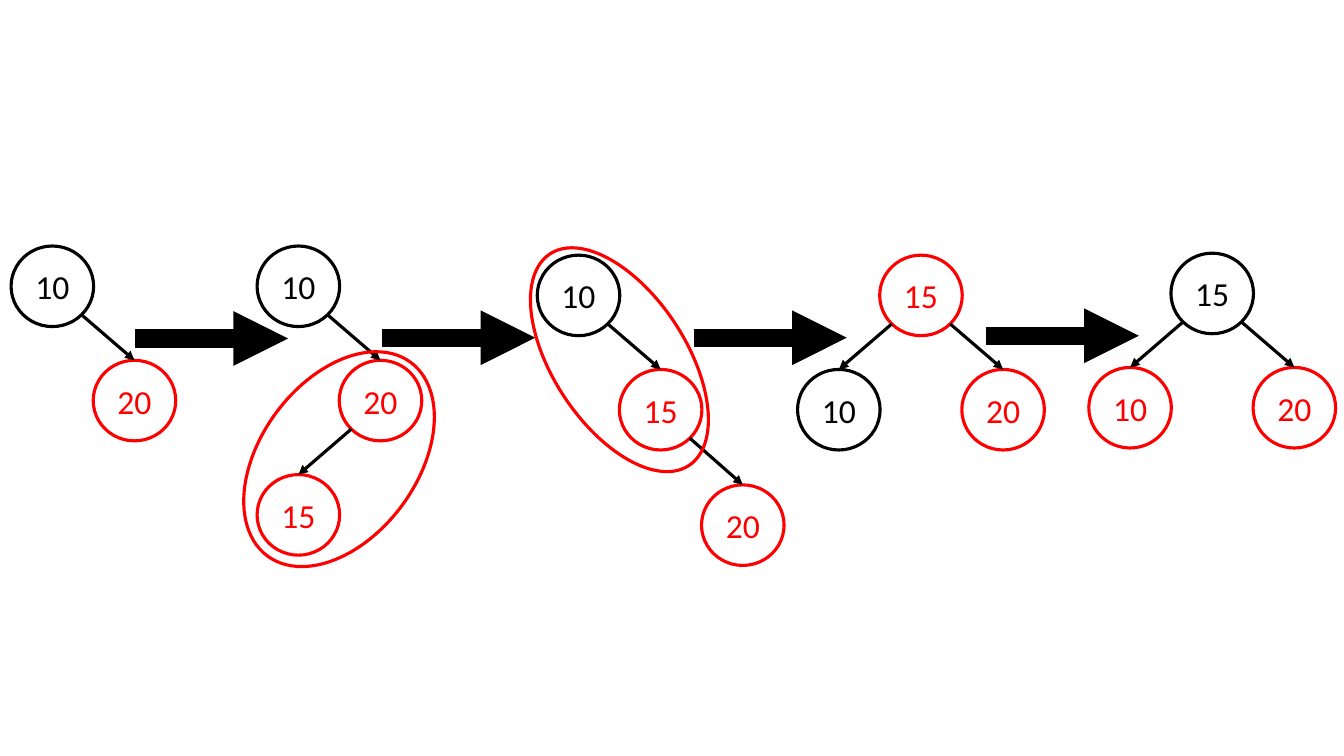
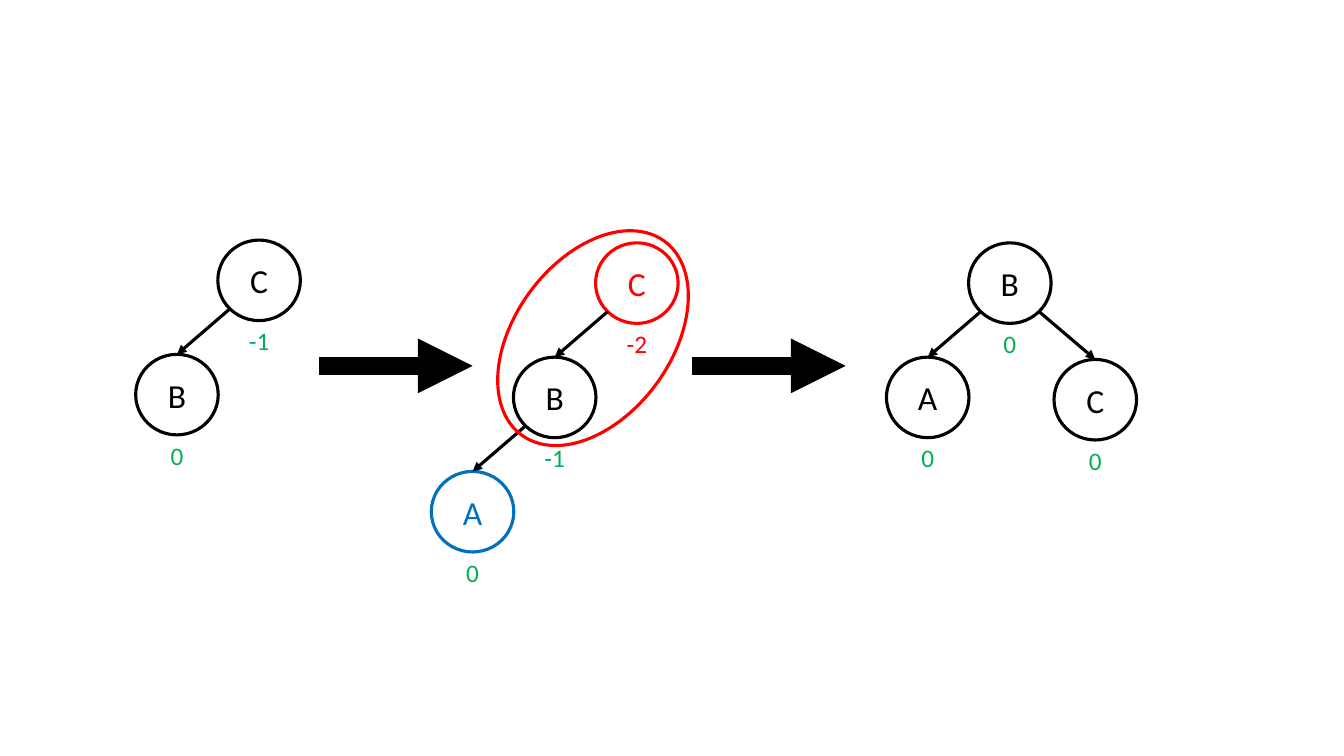
"""Build two slides that show rotations in balanced binary search trees."""
import math

import lxml.etree
import pptx
import pptx.dml.color
import pptx.enum.shapes
import pptx.enum.text
import pptx.oxml.ns
import pptx.util

Cm, Pt = pptx.util.Cm, pptx.util.Pt
RGB = pptx.dml.color.RGBColor.from_string
SHAPE = pptx.enum.shapes.MSO_SHAPE
qn = pptx.oxml.ns.qn


class Theme:
    font = "Calibri"
    black, red = RGB("000000"), RGB("FF0000")
    green, blue = RGB("00B050"), RGB("0070C0")
    node_size, balance_size = Pt(24), Pt(18)
    outline, block_arrow = Pt(2.25), Pt(13)


NODE_W, NODE_H = 2.08, 2.03
COL, ROW = 2.07, 2.88
LABEL_W, LABEL_H = 1.04, 1.02
ARROW_LENGTH = 3.86
BLACK, RED, BLUE = Theme.black, Theme.red, Theme.blue

SLIDES = [
    {
        "trees": [
            (0.28, 6.2, [("10", 0, 0, BLACK, None, None),
                         ("20", 1, 1, RED, 0, None)]),
            (6.48, 6.2, [("10", 0, 0, BLACK, None, None),
                         ("20", 1, 1, RED, 0, None),
                         ("15", 0, 2, RED, 1, None)]),
            (13.54, 6.43, [("10", 0, 0, BLACK, None, None),
                           ("15", 1, 1, RED, 0, None),
                           ("20", 2, 2.01, RED, 1, None)]),
            (22.17, 6.43, [("15", 0, 0, RED, None, None),
                           ("20", 1, 1, RED, 0, None),
                           ("10", -1, 1, BLACK, 0, None)]),
            (29.51, 6.38, [("15", 0, 0, BLACK, None, None),
                           ("20", 1, 1, RED, 0, None),
                           ("10", -1, 1, RED, 0, None)]),
        ],
        "arrows": [(3.4, 8.53), (9.63, 8.51), (17.48, 8.51), (24.84, 8.46)],
        "rings": [(5.51, 9.6, 6.07, 3.94, 306.5),
                  (12.42, 7.39, 6.38, 3.35, 56.7)],
    },
    {
        "trees": [
            (5.49, 6.05, [("C", 0, 0, BLACK, None, -1),
                          ("B", -1, 1, BLACK, 0, 0)]),
            (15.01, 6.12, [("C", 0, 0, RED, None, -2),
                           ("B", -1, 1, BLACK, 0, -1),
                           ("A", -2, 2, BLUE, 1, 0)]),
            (24.41, 6.12, [("B", 0, 0, BLACK, None, 0),
                           ("A", -1, 1, BLACK, 0, 0),
                           ("C", 1.04, 1.02, BLACK, 0, 0)]),
        ],
        "arrows": [(8.05, 9.22), (17.45, 9.22)],
        "rings": [(11.91, 6.55, 6.07, 3.94, 306.5)],
    },
]


def add_ellipse(s, x, y, w, h, color):
    sp = s.shapes.add_shape(SHAPE.OVAL, Cm(x), Cm(y), Cm(w), Cm(h))
    sp.shadow.inherit = False
    sp.fill.background()
    sp.line.color.rgb = color
    sp.line.width = Theme.outline
    return sp


def add_arrow(s, x1, y1, x2, y2, width):
    c = s.shapes.add_connector(pptx.enum.shapes.MSO_CONNECTOR.STRAIGHT,
                               Cm(x1), Cm(y1), Cm(x2), Cm(y2))
    c.line.color.rgb = Theme.black
    c.line.width = width
    ln = c.element.spPr.find(qn("a:ln"))
    lxml.etree.SubElement(ln, qn("a:tailEnd"), type="triangle")
    lxml.etree.SubElement(c.element.spPr, qn("a:effectLst"))
    return c


prs = pptx.Presentation()
prs.slide_width, prs.slide_height = Cm(33.87), Cm(19.05)

for content in SLIDES:
    s = prs.slides.add_slide(prs.slide_layouts[6])
    texts = []
    for root_x, root_y, nodes in content["trees"]:
        placed = []
        for key, col, row, color, parent, balance in nodes:
            x, y = root_x + col * COL, root_y + row * ROW
            mid_x = x + NODE_W / 2
            node = add_ellipse(s, x, y, NODE_W, NODE_H, color)
            placed.append((node, mid_x, y + NODE_H / 2))
            texts.append((node, key, Theme.node_size, color))

            if parent is not None:
                parent_node, px, py = placed[parent]
                side = math.copysign(math.sqrt(0.5), mid_x - px)
                edge = add_arrow(s, px + side * NODE_W / 2,
                                 py + math.sqrt(0.5) * NODE_H / 2,
                                 mid_x, y, Theme.outline)
                edge.end_connect(node, 0)
                start = lxml.etree.Element(qn("a:stCxn"),
                                           id=str(parent_node.shape_id),
                                           idx="5" if side > 0 else "3")
                edge.element.find(".//" + qn("p:cNvCxnSpPr")).insert(0, start)

            if balance is not None:
                label = s.shapes.add_textbox(Cm(mid_x - LABEL_W / 2),
                                             Cm(y + NODE_H),
                                             Cm(LABEL_W), Cm(LABEL_H))
                label.text_frame.word_wrap = False
                texts.append((label, str(balance), Theme.balance_size,
                              Theme.red if abs(balance) > 1 else Theme.green))

    for sp, text, size, color in texts:
        p = sp.text_frame.paragraphs[0]
        p.alignment = pptx.enum.text.PP_ALIGN.CENTER
        r = p.add_run()
        r.text = text
        for name, value in {"name": Theme.font, "size": size}.items():
            setattr(r.font, name, value)
        r.font.color.rgb = color

    for x, y in content["arrows"]:
        add_arrow(s, x, y, x + ARROW_LENGTH, y, Theme.block_arrow)

    for *box, angle in content["rings"]:
        add_ellipse(s, *box, Theme.red).rotation = angle

prs.save("out.pptx")
